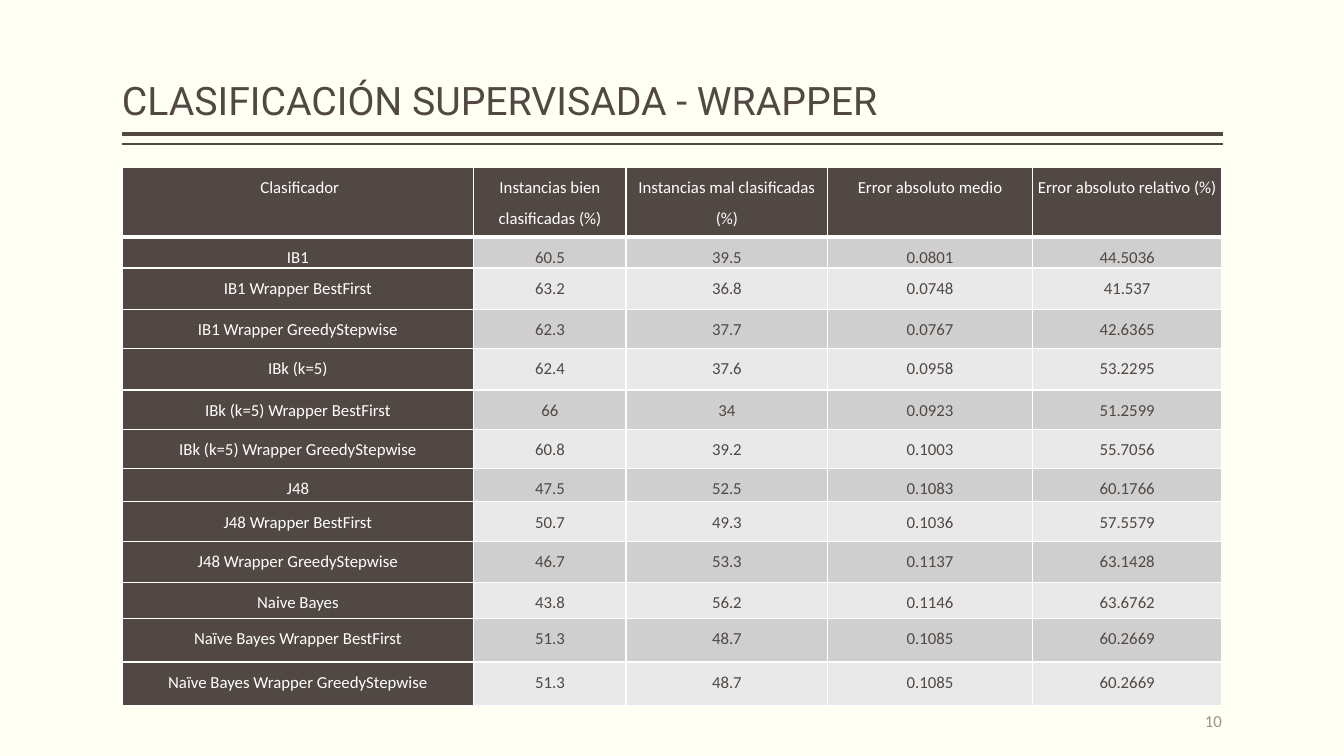
import pptx
import pptx.dml.color
import pptx.enum.shapes
import pptx.enum.text
import pptx.oxml
import pptx.oxml.ns
import pptx.util
from pptx.util import Inches

RGBColor = pptx.dml.color.RGBColor
ALIGN = pptx.enum.text.PP_ALIGN
ANCHOR = pptx.enum.text.MSO_ANCHOR

CREAM = RGBColor(0xFF, 0xFF, 0xF3)
BROWN = RGBColor(0x51, 0x48, 0x43)
TAUPE = RGBColor(0x9D, 0x8F, 0x88)
WHITE = RGBColor(0xFF, 0xFF, 0xFF)
DARK_BAND = RGBColor(0xD0, 0xCF, 0xCF)
LIGHT_BAND = RGBColor(0xE9, 0xE9, 0xE9)

LEFT, RIGHT = 1.21, 12.13
COLUMN_WIDTHS = [3.49, 1.51, 2, 2.03, 1.88]
ROW_HEIGHTS = [0.69, 0.31, 0.41, 0.39, 0.41, 0.39, 0.39, 0.33, 0.39, 0.41, 0.36, 0.43, 0.43]
RESULTS = [
    [" Clasificador", "Instancias bien clasificadas (%)", "Instancias mal clasificadas (%)",
     "Error absoluto medio", "Error absoluto relativo (%)"],
    ["IB1", "60.5", "39.5", "0.0801", "44.5036"],
    ["IB1 Wrapper BestFirst", "63.2", "36.8", "0.0748", "41.537"],
    ["IB1 Wrapper GreedyStepwise", "62.3", "37.7", "0.0767", "42.6365"],
    ["IBk (k=5)", "62.4", "37.6", "0.0958", "53.2295"],
    ["IBk (k=5) Wrapper BestFirst", "66", "34", "0.0923", "51.2599"],
    ["IBk (k=5) Wrapper GreedyStepwise", "60.8", "39.2", "0.1003", "55.7056"],
    ["J48", "47.5", "52.5", "0.1083", "60.1766"],
    ["J48 Wrapper BestFirst", "50.7", "49.3", "0.1036", "57.5579"],
    ["J48 Wrapper GreedyStepwise", "46.7", "53.3", "0.1137", "63.1428"],
    ["Naive Bayes", "43.8", "56.2", "0.1146", "63.6762"],
    ["Naïve Bayes Wrapper BestFirst", "51.3", "48.7", "0.1085", "60.2669"],
    ["Naïve Bayes Wrapper GreedyStepwise", "51.3", "48.7", "0.1085", "60.2669"],
]


class SlideBuilder:
    body_font = "Calibri"
    title_font = "Roboto"
    body_size = 12

    def __init__(self, presentation):
        self.slide = presentation.slides.add_slide(presentation.slide_layouts[6])
        background = self.slide.background.fill
        background.solid()
        background.fore_color.rgb = CREAM

    def add_run(self, paragraph, text, color, align, font=body_font, size=body_size):
        paragraph.alignment = align
        run = paragraph.add_run()
        run.text = text
        run.font.name = font
        run.font.size = pptx.util.Pt(size)
        run.font.bold = False
        run.font.color.rgb = color

    def text(self, text, left, top, width, height, anchor, color, align, **style):
        box = self.slide.shapes.add_textbox(
            Inches(left), Inches(top), Inches(width), Inches(height))
        frame = box.text_frame
        frame.word_wrap = True
        frame.vertical_anchor = anchor
        frame.margin_left = frame.margin_right = 0
        frame.margin_top = frame.margin_bottom = Inches(0.05)
        self.add_run(frame.paragraphs[0], text, color, align, **style)
        return frame.paragraphs[0]

    def rule(self, y, weight):
        connector = self.slide.shapes.add_connector(
            pptx.enum.shapes.MSO_CONNECTOR.STRAIGHT,
            Inches(RIGHT), Inches(y), Inches(LEFT), Inches(y))
        connector.line.color.rgb = BROWN
        connector.line.width = pptx.util.Pt(weight)
        properties = connector.element.find(pptx.oxml.ns.qn("p:spPr"))
        properties.append(pptx.oxml.parse_xml(
            f"<a:effectLst {pptx.oxml.ns.nsdecls('a')}/>"))

    def borders(self, cell, top, bottom):
        properties = cell._tc.get_or_add_tcPr()
        for side, weight in (("L", 1), ("R", 1), ("T", top), ("B", bottom)):
            properties.append(pptx.oxml.parse_xml(
                f'<a:ln{side} {pptx.oxml.ns.nsdecls("a")} w="{pptx.util.Pt(weight)}">'
                f'<a:solidFill><a:srgbClr val="{WHITE}"/></a:solidFill></a:ln{side}>'))

    def cell(self, cell, text, row, column):
        cell.margin_left = cell.margin_right = Inches(0.03)
        cell.margin_top = cell.margin_bottom = 0
        self.borders(cell, 3 if row == 1 else 1, 3 if row == 0 else 1)
        heading = row == 0 or column == 0
        band = DARK_BAND if row % 2 else LIGHT_BAND
        cell.fill.solid()
        cell.fill.fore_color.rgb = BROWN if heading else band
        paragraph = cell.text_frame.paragraphs[0]
        paragraph.line_spacing = 1.5
        paragraph.space_after = pptx.util.Pt(10)
        self.add_run(paragraph, text, WHITE if heading else BROWN, ALIGN.CENTER)

    def table(self, rows, left, top, widths, heights):
        table = self.slide.shapes.add_table(
            len(rows), len(widths), Inches(left), Inches(top),
            Inches(sum(widths)), Inches(sum(heights))).table
        table.first_row = table.horz_banding = False
        for column, width in zip(table.columns, widths):
            column.width = Inches(width)
        for row, height in zip(table.rows, heights):
            row.height = Inches(height)
        for row, values in enumerate(rows):
            for column, value in enumerate(values):
                self.cell(table.cell(row, column), value, row, column)


def main():
    presentation = pptx.Presentation()
    presentation.slide_width = Inches(13.33)
    presentation.slide_height = Inches(7.5)
    builder = SlideBuilder(presentation)
    builder.rule(1.33, 3)
    builder.rule(1.43, 1)
    title = builder.text("CLASIFICACIÓN SUPERVISADA - WRAPPER", LEFT, 0.08, RIGHT - LEFT, 1.2,
                         ANCHOR.BOTTOM, BROWN, ALIGN.LEFT,
                         font=builder.title_font, size=28)
    title.line_spacing = 0.9
    builder.text("10", 10.12, 6.95, 2, 0.4, ANCHOR.MIDDLE, TAUPE, ALIGN.RIGHT)
    builder.table(RESULTS, LEFT, 1.66, COLUMN_WIDTHS, ROW_HEIGHTS)
    presentation.save("out.pptx")


if __name__ == "__main__":
    main()
